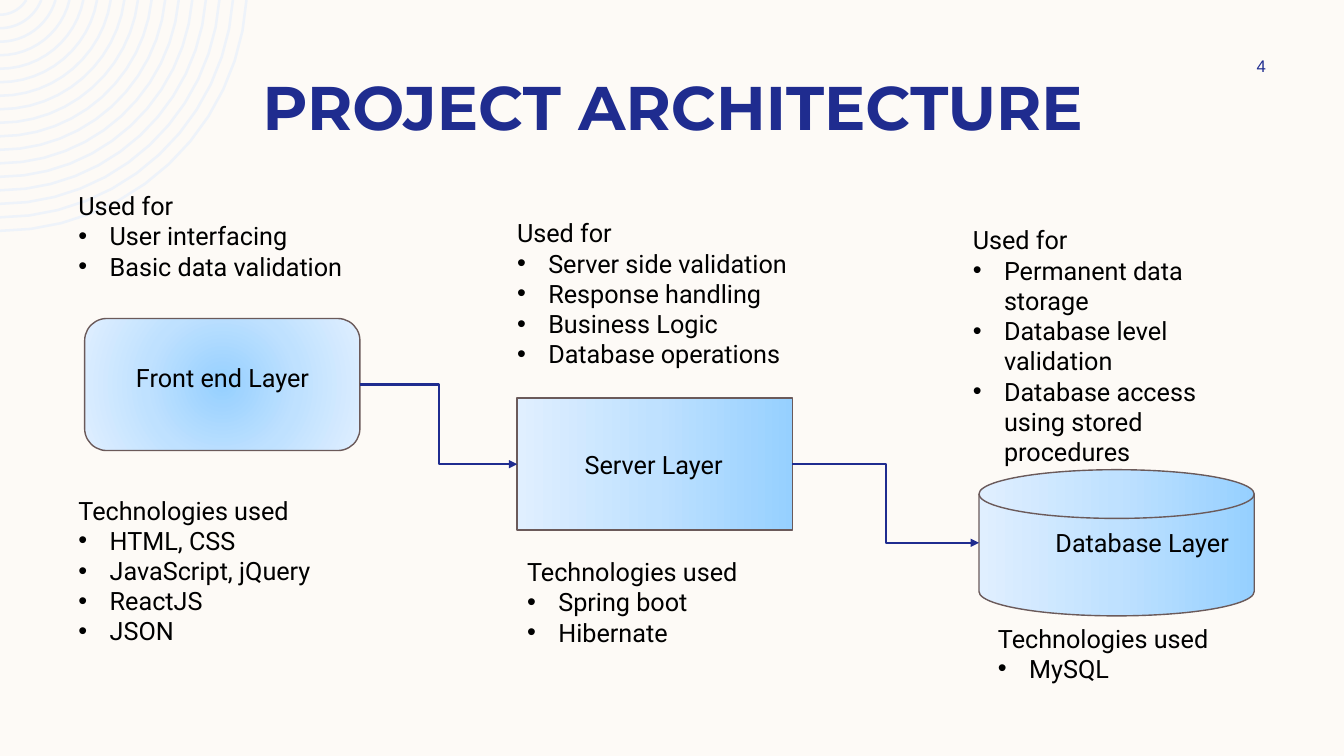
from dataclasses import dataclass
from math import asin, cos, pi, sin

from lxml.etree import SubElement
from pptx import Presentation
from pptx.dml.color import RGBColor
from pptx.enum.shapes import MSO_CONNECTOR, MSO_SHAPE
from pptx.enum.text import MSO_ANCHOR, PP_ALIGN
from pptx.oxml import parse_xml
from pptx.oxml.ns import nsdecls, qn
from pptx.util import Inches, Pt


@dataclass(frozen=True)
class Theme:
    background: str = "FDFAF6"
    rings: str = "EEF3FA"
    navy: str = "1F2C8F"
    text: str = "000000"
    outline: str = "6B5A5A"
    gradient: tuple = ("96D0FF", "BFE1FF", "E0EFFF")
    title_size: int = 44
    body_size: int = 18
    number_size: int = 12


theme = Theme()
LINEAR = '<a:lin ang="10800000" scaled="0"/>'
RADIAL = ('<a:path path="circle"><a:fillToRect l="50000" t="50000" '
          'r="50000" b="50000"/></a:path>')


def style_runs(paragraph, font, size, color, bold=False):
    for span in paragraph.runs:
        span.font.name = font
        span.font.size = Pt(size)
        span.font.bold = bold
        span.font.color.rgb = RGBColor.from_string(color)


def add_text(left, top, width, height, heading, bullets=()):
    box = slide.shapes.add_textbox(Inches(left), Inches(top), Inches(width), Inches(height))
    frame = box.text_frame
    frame.word_wrap = True
    frame.text = "\n".join([heading, *bullets])
    for index, para in enumerate(frame.paragraphs):
        style_runs(para, "Roboto", theme.body_size, theme.text)
        if index > 0:
            properties = para._p.get_or_add_pPr()
            properties.set("marL", str(Inches(0.31)))
            properties.set("indent", str(Inches(-0.31)))
            SubElement(properties, qn("a:buFont"), typeface="Arial")
            SubElement(properties, qn("a:buChar"), char="•")


deck = Presentation()
deck.slide_width = Inches(13.33)
deck.slide_height = Inches(7.5)
slide = deck.slides.add_slide(deck.slide_layouts[5])
slide.background.fill.solid()
slide.background.fill.fore_color.rgb = RGBColor.from_string(theme.background)

# Corner rings: concentric arcs around a point just above the slide
center_y, ring_count, ring_step, arc_steps = -0.16, 17, 0.134, 12
builder = None
for ring in range(ring_count):
    radius = 2.45 - ring * ring_step
    first = asin(-center_y / radius)
    angles = [first + (pi / 2 - first) * step / arc_steps for step in range(arc_steps + 1)]
    points = [(Inches(radius * cos(angle)), Inches(center_y + radius * sin(angle)))
              for angle in angles]
    if builder is None:
        builder = slide.shapes.build_freeform(*points[0])
    else:
        builder.move_to(*points[0])
    builder.add_line_segments(points[1:], close=False)
rings = builder.convert_to_shape()
rings.shadow.inherit = False
rings.fill.background()
rings.line.color.rgb = RGBColor.from_string(theme.rings)
rings.line.width = Pt(1.8)

# Title
title = slide.shapes.title
title.left, title.top = Inches(0.84), Inches(0.63)
title.width, title.height = Inches(11.67), Inches(0.84)
title.text_frame.text = "PROJECT ARCHITECTURE"
title.text_frame.vertical_anchor = MSO_ANCHOR.BOTTOM
title.text_frame.paragraphs[0].alignment = PP_ALIGN.CENTER
style_runs(title.text_frame.paragraphs[0], "Montserrat", theme.title_size, theme.navy, bold=True)

# Slide number
number = slide.shapes.add_textbox(Inches(11.97), Inches(0.5), Inches(1.08), Inches(0.3))
number.text_frame.text = "4"
number.text_frame.vertical_anchor = MSO_ANCHOR.MIDDLE
number.text_frame.paragraphs[0].alignment = PP_ALIGN.CENTER
style_runs(number.text_frame.paragraphs[0], "Arial", theme.number_size, theme.navy)

# Layer shapes: preset, left, top, height, gradient direction
layers = []
for preset, left, top, height, direction in (
    (MSO_SHAPE.ROUNDED_RECTANGLE, 0.84, 3.16, 1.31, RADIAL),
    (MSO_SHAPE.RECTANGLE, 5.13, 3.95, 1.31, LINEAR),
    (MSO_SHAPE.FLOWCHART_MAGNETIC_DISK, 9.71, 4.66, 1.45, LINEAR),
):
    layer = slide.shapes.add_shape(preset, Inches(left), Inches(top), Inches(2.73), Inches(height))
    layer.shadow.inherit = False
    layer.line.color.rgb = RGBColor.from_string(theme.outline)
    layer.line.width = Pt(1)
    stops = "".join(f'<a:gs pos="{index * 50000}"><a:srgbClr val="{color}"/></a:gs>'
                    for index, color in enumerate(theme.gradient))
    layer._element.spPr.find(qn("a:prstGeom")).addnext(parse_xml(
        f'<a:gradFill {nsdecls("a")} rotWithShape="1"><a:gsLst>{stops}</a:gsLst>'
        f'{direction}</a:gradFill>'))
    layers.append(layer)

# Layer names
for left, top, name in (
    (1.25, 3.55, "Front end Layer"),
    (5.7, 4.41, "Server Layer"),
    (10.37, 5.18, "Database Layer"),
):
    add_text(left, top, 1.92, 0.4, name)

# Purpose above and technologies below each layer
for left, top, height, heading, bullets in (
    (0.68, 1.84, 1.31, "Used for", ["User interfacing", "Basic data validation"]),
    (5.03, 2.11, 1.62, "Used for", ["Server side validation", "Response handling",
                                    "Business Logic", "Database operations"]),
    (9.55, 2.18, 2.22, "Used for", ["Permanent data storage", "Database level validation",
                                    "Database access using stored procedures"]),
    (0.68, 4.86, 1.92, "Technologies used", ["HTML, CSS", "JavaScript, jQuery",
                                             "ReactJS", "JSON"]),
    (5.13, 5.47, 1.31, "Technologies used", ["Spring boot", "Hibernate"]),
    (9.8, 6.13, 1.01, "Technologies used", ["MySQL"]),
):
    add_text(left, top, 3.06, height, heading, bullets)

# Elbow arrows from the right side of a layer to the left side of the next
for source, target in zip(layers, layers[1:]):
    arrow = slide.shapes.add_connector(
        MSO_CONNECTOR.ELBOW,
        source.left + source.width, source.top + source.height // 2,
        target.left, target.top + target.height // 2)
    arrow.line.color.rgb = RGBColor.from_string(theme.navy)
    arrow.line.width = Pt(1.5)
    SubElement(arrow.line._get_or_add_ln(), qn("a:tailEnd"), type="triangle")
    SubElement(arrow._element.spPr, qn("a:effectLst"))

deck.save("out.pptx")
